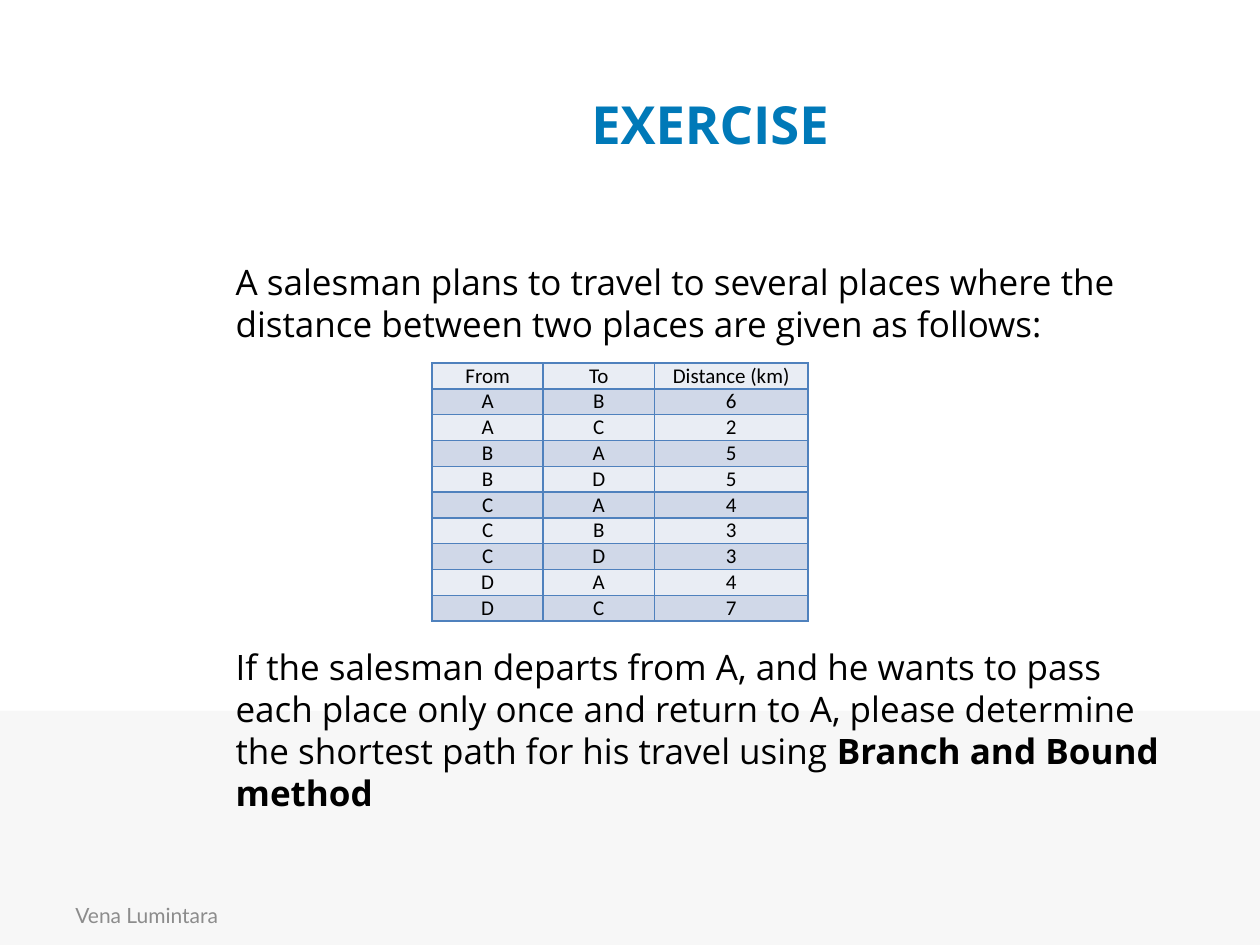
from lxml.etree import SubElement
from pptx import Presentation
from pptx.dml.color import RGBColor
from pptx.enum.shapes import MSO_SHAPE
from pptx.enum.text import MSO_ANCHOR, PP_ALIGN
from pptx.oxml.ns import qn
from pptx.util import Cm, Pt

BLACK = RGBColor(0x00, 0x00, 0x00)
BLUE = RGBColor(0x00, 0x79, 0xB8)
GREY = RGBColor(0x8C, 0x8C, 0x8C)
PALE_GREY = RGBColor(0xF7, 0xF7, 0xF7)
BORDER_BLUE = RGBColor(0x4F, 0x81, 0xBD)
ROW_FILLS = (RGBColor(0xE9, 0xED, 0xF4), RGBColor(0xD0, 0xD8, 0xE8))


def write(paragraph, text, size=20, font="Open Sans", color=BLACK, bold=False,
          align=PP_ALIGN.LEFT):
    paragraph.alignment = align
    run = paragraph.add_run()
    run.text = text
    run.font.size = Pt(size)
    run.font.name = font
    run.font.color.rgb = color
    run.font.bold = bold


def add_frame(left, top, width, height, anchor):
    frame = slide.shapes.add_textbox(Cm(left), Cm(top), Cm(width), Cm(height)).text_frame
    frame.word_wrap = True
    frame.vertical_anchor = anchor
    return frame


prs = Presentation()
prs.slide_width = Cm(25.4)
prs.slide_height = Cm(19.05)
slide = prs.slides.add_slide(prs.slide_layouts[6])

footer_band = slide.shapes.add_shape(
    MSO_SHAPE.RECTANGLE, Cm(0), Cm(14.33), Cm(25.4), Cm(4.72))
footer_band.shadow.inherit = False
footer_band.fill.solid()
footer_band.fill.fore_color.rgb = PALE_GREY
footer_band.line.fill.background()

footer = add_frame(1.27, 17.93, 5.92, 1.02, MSO_ANCHOR.MIDDLE)
write(footer.paragraphs[0], "Vena Lumintara", size=12, font="Lato", color=GREY)

title = add_frame(4.5, 0.91, 19.63, 3.18, MSO_ANCHOR.MIDDLE)
write(title.paragraphs[0], "EXERCISE", size=30, color=BLUE, bold=True,
      align=PP_ALIGN.CENTER)

body = add_frame(4.5, 5.13, 19.63, 11.89, MSO_ANCHOR.TOP)
intro = body.paragraphs[0]
write(intro, "A salesman plans to travel to several places where the "
             "distance between two places are given as follows:")
intro.space_before = Pt(1.5)
question = body.add_paragraph()
write(question, "If the salesman departs from A, and he wants to pass each place only "
                "once and return to A, please determine the shortest path for his "
                "travel using ")
write(question, "Branch and Bound method", bold=True)
question.space_before = Pt(172)
for paragraph in body.paragraphs:
    paragraph.line_spacing = Pt(24)

routes = [("From", "To", "Distance (km)")]
routes += ["AB6", "AC2", "BA5", "BD5", "CA4", "CB3", "CD3", "DA4", "DC7"]
column_widths = (2.24, 2.24, 3.1)
row_height = 0.52
distances = slide.shapes.add_table(
    len(routes), len(column_widths), Cm(8.71), Cm(7.32),
    Cm(sum(column_widths)), Cm(row_height * len(routes))).table
distances.first_row = False
distances.horz_banding = False
for column, width in zip(distances.columns, column_widths):
    column.width = Cm(width)

for row_index, route in enumerate(routes):
    distances.rows[row_index].height = Cm(row_height)
    for column_index, value in enumerate(route):
        cell = distances.cell(row_index, column_index)
        cell.margin_left = cell.margin_right = Cm(0.18)
        cell.margin_top = cell.margin_bottom = Cm(0)
        cell.vertical_anchor = MSO_ANCHOR.MIDDLE if row_index == 0 else MSO_ANCHOR.TOP
        properties = cell._tc.get_or_add_tcPr()
        for side in ("a:lnL", "a:lnR", "a:lnT", "a:lnB"):
            border = SubElement(properties, qn(side), w=str(Pt(1)))
            border_fill = SubElement(border, qn("a:solidFill"))
            SubElement(border_fill, qn("a:srgbClr"), val=str(BORDER_BLUE))
        cell.fill.solid()
        cell.fill.fore_color.rgb = ROW_FILLS[row_index % 2]
        write(cell.text_frame.paragraphs[0], value, size=12, font="Calibri",
              align=PP_ALIGN.CENTER)

prs.save("out.pptx")
